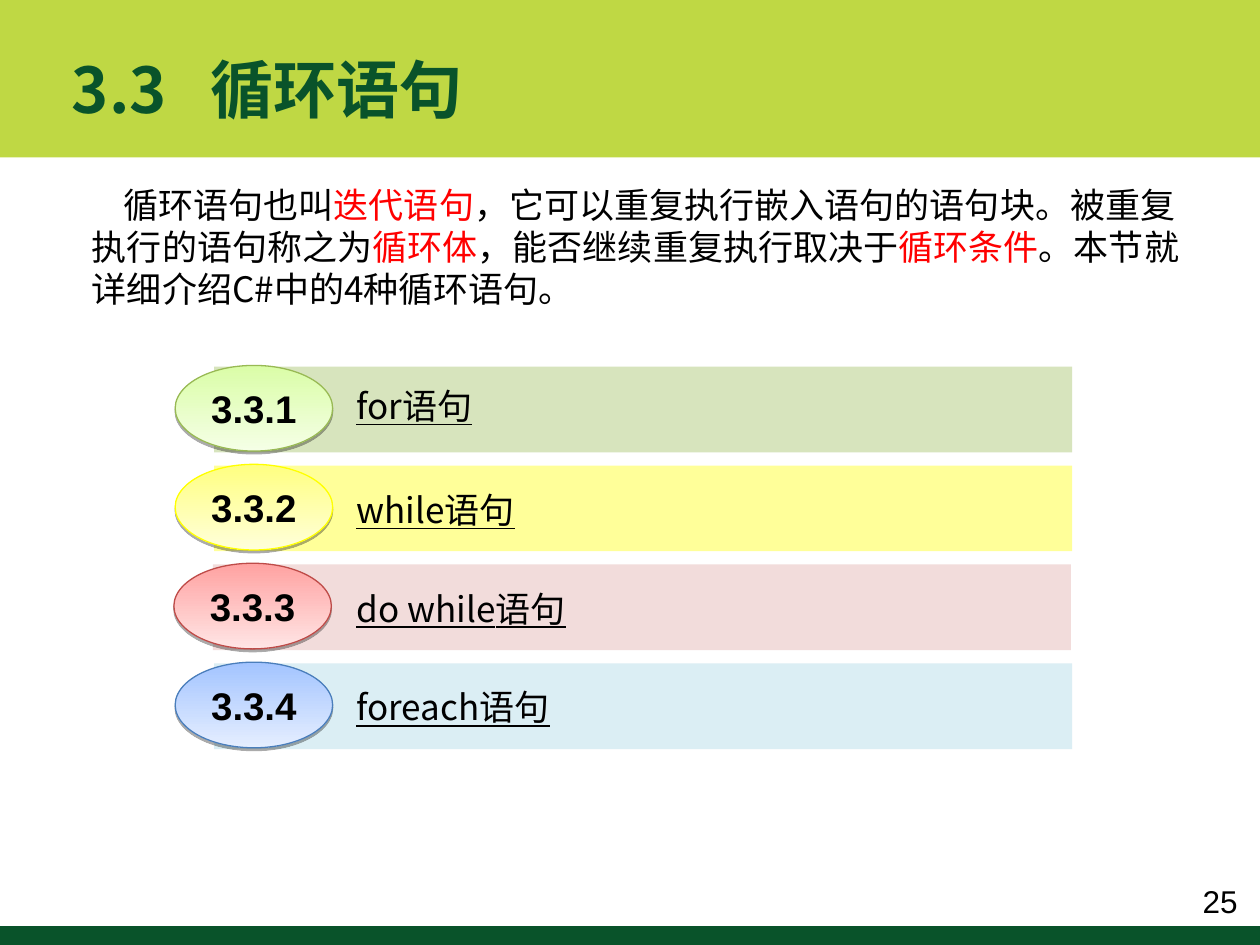
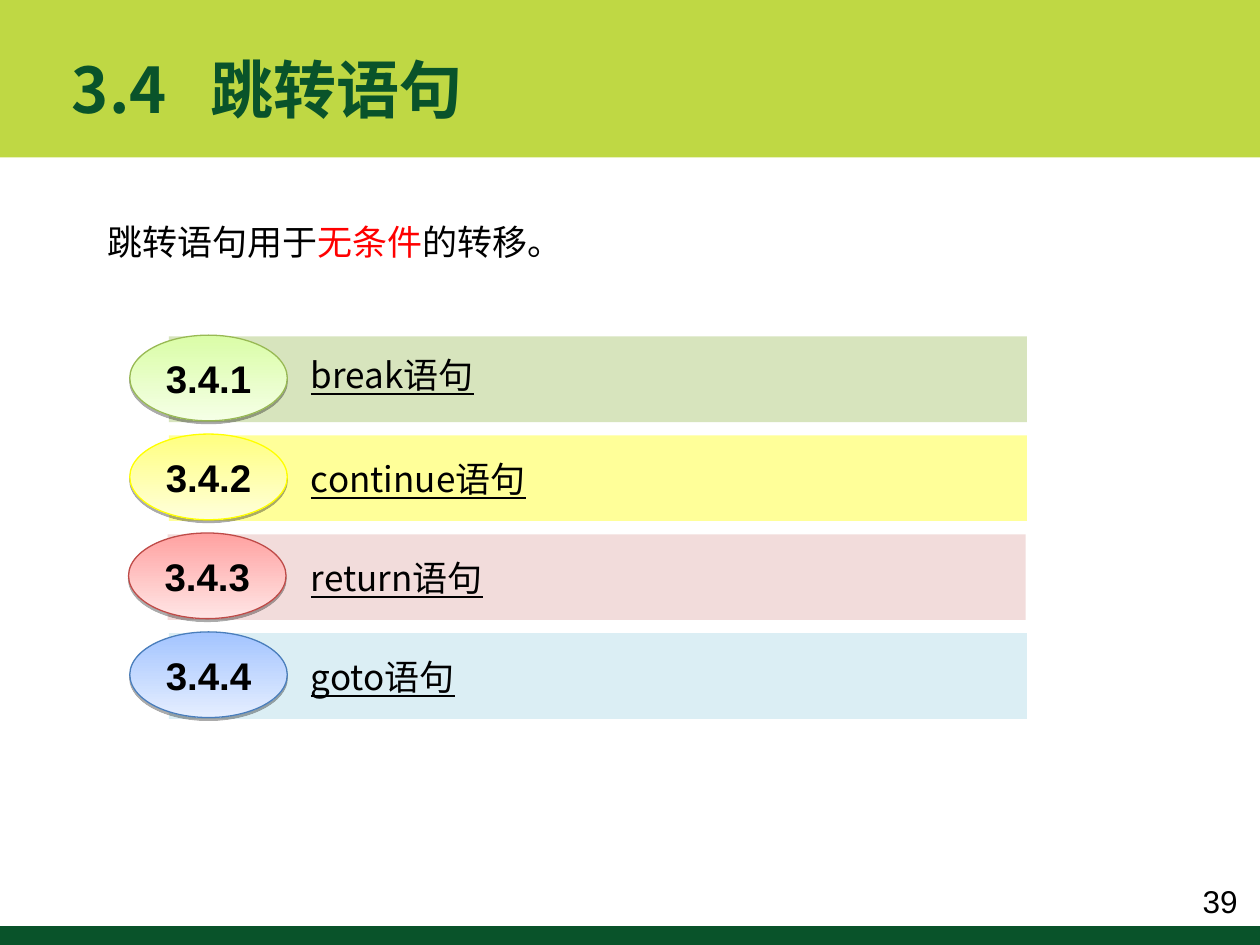
"""Builds two section-overview slides on C# loop and jump statements."""
from dataclasses import dataclass

import pptx
import pptx.dml.color
import pptx.enum.shapes
import pptx.enum.text
import pptx.oxml
import pptx.oxml.ns
import pptx.util
from lxml import etree

Inches = pptx.util.Inches
RGBColor = pptx.dml.color.RGBColor
PP_ALIGN = pptx.enum.text.PP_ALIGN
MSO_ANCHOR = pptx.enum.text.MSO_ANCHOR
MSO_SHAPE = pptx.enum.shapes.MSO_SHAPE
qn = pptx.oxml.ns.qn

BLACK = RGBColor(0x00, 0x00, 0x00)
RED = RGBColor(0xFF, 0x00, 0x00)
LIME = RGBColor(0xBF, 0xD8, 0x44)
DARK_GREEN = RGBColor(0x09, 0x53, 0x2A)

CJK_FONT = "Noto Sans CJK SC"
LATIN_FONT = "Arial"
ROW_PITCH = 0.785
ROW_HEIGHT = 0.68


@dataclass
class RowStyle:
    """Colours and small offsets of one section row."""
    bar: RGBColor
    badge_top: RGBColor
    badge_bottom: RGBColor
    outline: RGBColor
    shift: float = 0
    label_drop: float = 0.14


ROW_STYLES = [
    RowStyle(RGBColor(0xD7, 0xE4, 0xBD), RGBColor(0xDA, 0xFD, 0xA7),
             RGBColor(0xF5, 0xFF, 0xE6), RGBColor(0x98, 0xB9, 0x54),
             label_drop=0.1),
    RowStyle(RGBColor(0xFF, 0xFF, 0x99), RGBColor(0xFF, 0xFF, 0x80),
             RGBColor(0xFF, 0xFF, 0xDA), RGBColor(0xFF, 0xFF, 0x00)),
    RowStyle(RGBColor(0xF2, 0xDC, 0xDB), RGBColor(0xFF, 0xA2, 0xA1),
             RGBColor(0xFF, 0xE5, 0xE5), RGBColor(0xBE, 0x4B, 0x48),
             shift=-0.01),
    RowStyle(RGBColor(0xDB, 0xEE, 0xF4), RGBColor(0xA3, 0xC4, 0xFF),
             RGBColor(0xE5, 0xEE, 0xFF), RGBColor(0x4A, 0x7E, 0xBB)),
]


def format_paragraph(paragraph, size, font=CJK_FONT, colour=BLACK, bold=False,
                     underline=False, align=PP_ALIGN.LEFT):
    """Set the paragraph's font and return its default run properties."""
    paragraph.alignment = align
    paragraph.font.size = pptx.util.Pt(size)
    paragraph.font.bold = bold
    paragraph.font.underline = underline
    paragraph.font.color.rgb = colour
    paragraph.font.name = font
    defaults = paragraph._p.pPr.find(qn("a:defRPr"))
    etree.SubElement(defaults, qn("a:ea"), typeface=font)
    return defaults


def place(shape, left, top, width, height):
    """Move and size a placeholder."""
    shape.left, shape.top = Inches(left), Inches(top)
    shape.width, shape.height = Inches(width), Inches(height)


def add_rectangle(shapes, left, top, width, height, colour):
    """Add a plain filled rectangle."""
    rectangle = shapes.add_shape(MSO_SHAPE.RECTANGLE, Inches(left), Inches(top),
                                 Inches(width), Inches(height))
    rectangle.shadow.inherit = False
    rectangle.fill.solid()
    rectangle.fill.fore_color.rgb = colour
    rectangle.line.fill.background()
    return rectangle


def add_master_bands(prs, slide):
    """Put the title band and the footer band on the slide master."""
    bands = [(0, 1.25, LIME), (7.35, 0.15, DARK_GREEN)]
    for index, (top, height, colour) in enumerate(bands):
        band = add_rectangle(slide.shapes, 0, top, 10, height, colour)
        band.element.nvSpPr.cNvPr.set("id", str(101 + index))
        prs.slide_master.shapes.element.insert(2 + index, band.element)


def set_title(slide, number, heading):
    """Fill the title with a section number and a tabbed heading."""
    title = slide.shapes.title
    place(title, 0.47, 0.23, 6.8, 0.95)
    frame = title.text_frame
    frame.auto_size = pptx.enum.text.MSO_AUTO_SIZE.NONE
    frame.vertical_anchor = MSO_ANCHOR.MIDDLE
    frame.text = f"{number}\t{heading}"
    defaults = format_paragraph(frame.paragraphs[0], 36, colour=DARK_GREEN,
                                bold=True)
    tabs = etree.Element(qn("a:tabLst"))
    etree.SubElement(tabs, qn("a:tab"), pos=str(Inches(1.1)), algn="l")
    defaults.addprevious(tabs)


def set_intro(slide, left, top, height, first_indent, parts):
    """Fill the body with parts, every second one a red key term."""
    body = slide.placeholders[1]
    place(body, left, top, 8.83, height)
    frame = body.text_frame
    frame.auto_size = pptx.enum.text.MSO_AUTO_SIZE.NONE
    paragraph = frame.paragraphs[0]
    for index, part in enumerate(parts):
        run = paragraph.add_run()
        run.text = part
        if index % 2:
            run.font.color.rgb = RED
    defaults = format_paragraph(paragraph, 20)
    paragraph.space_before = pptx.util.Pt(0)
    defaults.addprevious(etree.Element(qn("a:buNone")))
    paragraph._p.pPr.set("marL", "0")
    paragraph._p.pPr.set("indent", str(Inches(first_indent)))


def add_text(slide, left, top, width, height, text, size, **font):
    """Add a one-paragraph text box."""
    box = slide.shapes.add_textbox(Inches(left), Inches(top),
                                   Inches(width), Inches(height))
    box.text_frame.word_wrap = True
    box.text_frame.text = text
    format_paragraph(box.text_frame.paragraphs[0], size, **font)


def add_badge_shadow(badge):
    """Give a badge a sharp, soft-toned shadow below it."""
    badge.shadow.inherit = False
    effects = badge.element.spPr.find(qn("a:effectLst"))
    shadow = etree.SubElement(effects, qn("a:outerShdw"), blurRad="0",
                              dist=str(pptx.util.Pt(1.6)), dir="5400000",
                              rotWithShape="0")
    tone = etree.SubElement(shadow, qn("a:srgbClr"), val=str(BLACK))
    etree.SubElement(tone, qn("a:alpha"), val="33000")


def add_badge(shapes, left, top, number, style):
    """Add the gradient oval that holds a section number."""
    badge = shapes.add_shape(MSO_SHAPE.OVAL, Inches(left), Inches(top),
                             Inches(1.25), Inches(ROW_HEIGHT))
    badge.fill.gradient()
    badge.fill.gradient_angle = 270
    stops = badge.fill.gradient_stops
    for stop, position, colour in zip(stops, (0, 1),
                                      (style.badge_top, style.badge_bottom)):
        stop.position = position
        stop.color.rgb = colour
    badge.line.color.rgb = style.outline
    badge.line.width = pptx.util.Pt(0.75)
    add_badge_shadow(badge)
    frame = badge.text_frame
    frame.vertical_anchor = MSO_ANCHOR.MIDDLE
    frame.text = number
    format_paragraph(frame.paragraphs[0], 22, font=LATIN_FONT, bold=True,
                     align=PP_ALIGN.CENTER)


def add_section_rows(slide, left, top, section, keywords):
    """Stack one numbered row for each statement keyword."""
    for index, (keyword, style) in enumerate(zip(keywords, ROW_STYLES)):
        row_left = left + style.shift
        row_top = top + index * ROW_PITCH
        row = slide.shapes.add_group_shape()
        add_rectangle(row.shapes, row_left + 0.31, row_top + 0.01, 6.81,
                      ROW_HEIGHT, style.bar)
        add_badge(row.shapes, row_left, row_top, f"{section}.{index + 1}", style)
        add_text(slide, left + 1.34, row_top + style.label_drop, 3.44, 0.44,
                 f"{keyword}语句", 20, underline=True)


def add_section_slide(prs, section, heading, page):
    """Add a slide with its title and page number."""
    slide = prs.slides.add_slide(prs.slide_layouts[1])
    set_title(slide, section, heading)
    add_text(slide, 7.59, 6.95, 2.33, 0.4, page, 18, font=LATIN_FONT,
             align=PP_ALIGN.RIGHT)
    return slide


def main():
    """Build and save both slides."""
    prs = pptx.Presentation()
    prs.slide_width, prs.slide_height = Inches(10), Inches(7.5)

    loops = add_section_slide(prs, "3.3", "循环语句", "25")
    add_master_bands(prs, loops)
    set_intro(loops, 0.63, 1.41, 1.1, 0.25, [
        "循环语句也叫", "迭代语句",
        "，它可以重复执行嵌入语句的语句块。被重复执行的语句称之为", "循环体",
        "，能否继续重复执行取决于", "循环条件",
        "。本节就详细介绍C#中的4种循环语句。"])
    add_section_rows(loops, 1.39, 2.9, "3.3",
                     ["for", "while", "do while", "foreach"])

    jumps = add_section_slide(prs, "3.4", "跳转语句", "39")
    set_intro(jumps, 0.75, 1.7, 0.44, 0,
              ["跳转语句用于", "无条件", "的转移。"])
    add_section_rows(jumps, 1.03, 2.66, "3.4",
                     ["break", "continue", "return", "goto"])

    prs.save("out.pptx")


if __name__ == "__main__":
    main()
